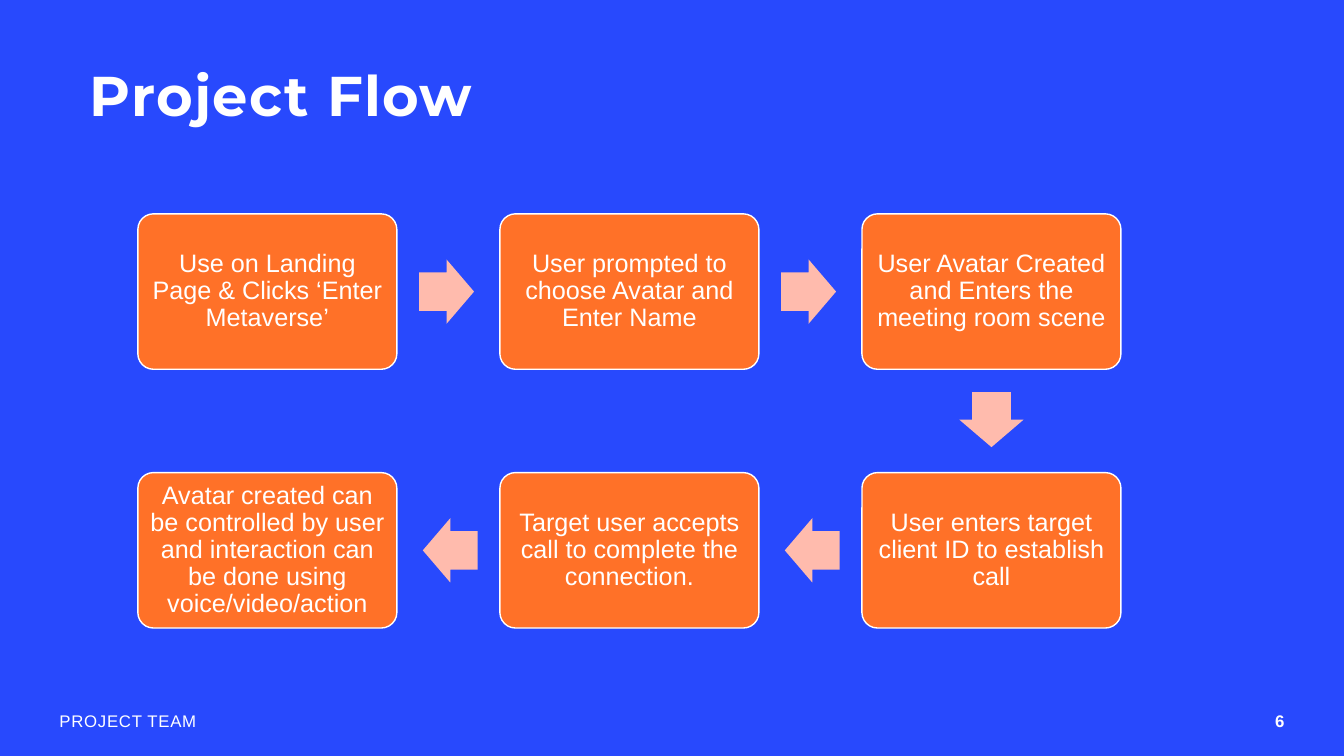
from pptx import Presentation
from pptx.dml.color import RGBColor
from pptx.enum import shapes, text
from pptx.util import Pt

COLORS = {"blue": "2849FD", "orange": "FF7128", "peach": "FFBBAD", "white": "FFFFFF"}


def write(box, words, size=18, font="Arial", bold=False, align="LEFT",
          anchor="MIDDLE", inset=0, line_spacing=1.0, tracking=0):
    """Fill a box with one formatted paragraph; tracking is in points."""
    frame = box.text_frame
    frame.word_wrap = True
    frame.vertical_anchor = text.MSO_ANCHOR[anchor]
    frame.margin_left = frame.margin_right = Pt(inset)
    frame.margin_top = frame.margin_bottom = Pt(inset)
    para = frame.paragraphs[0]
    para.alignment = text.PP_ALIGN[align]
    para.line_spacing = line_spacing
    span = para.add_run()
    span.text = words
    span.font.size = Pt(size)
    span.font.name = font
    span.font.bold = bold
    span.font.color.rgb = RGBColor.from_string(COLORS["white"])
    if tracking:
        span._r.get_or_add_rPr().set("spc", str(int(tracking * 100)))


def add_filled(kind, left, top, width, height, color, adjustments):
    shape = page.shapes.add_shape(kind, Pt(left), Pt(top), Pt(width), Pt(height))
    shape.shadow.inherit = False
    shape.fill.solid()
    shape.fill.fore_color.rgb = RGBColor.from_string(COLORS[color])
    shape.line.fill.background()
    for index, value in enumerate(adjustments):
        shape.adjustments[index] = value
    return shape


deck = Presentation()
deck.slide_width, deck.slide_height = Pt(960), Pt(540)
page = deck.slides.add_slide(deck.slide_layouts[6])
page.background.fill.solid()
page.background.fill.fore_color.rgb = RGBColor.from_string(COLORS["blue"])

# Title and footer
title = page.shapes.add_textbox(Pt(64), Pt(49), Pt(723), Pt(56))
write(title, "Project Flow", size=40, font="Montserrat", bold=True,
      anchor="TOP", line_spacing=0.9, tracking=1)
team = page.shapes.add_textbox(Pt(42.5), Pt(500.5), Pt(347), Pt(29))
write(team, "PROJECT TEAM", size=12, tracking=0.5)
number = page.shapes.add_textbox(Pt(701.5), Pt(500.5), Pt(216), Pt(29))
write(number, "6", size=12, bold=True, align="RIGHT", tracking=0.5)

# Steps run right along the first row, then back along the second
LEFT, TOP = 98.5, 152.8
COLUMN_STEP, ROW_STEP = 258.6, 184.8
BOX_WIDTH, BOX_HEIGHT = 185, 111
ARROW_WIDTH, ARROW_HEIGHT = 39.2, 45.9
ARROW_POSITION = 0.495  # share of the way from one box centre to the next

steps = [
    (0, 0, "Use on Landing Page & Clicks ‘Enter Metaverse’"),
    (1, 0, "User prompted to choose Avatar and Enter Name"),
    (2, 0, "User Avatar Created and Enters the meeting room scene"),
    (2, 1, "User enters target client ID to establish call"),
    (1, 1, "Target user accepts call to complete the connection."),
    (0, 1, "Avatar created can be controlled by user and interaction "
           "can be done using voice/video/action"),
]
rotations = {(1, 0): 0, (0, 1): 90, (-1, 0): 180}

for index, (column, row, words) in enumerate(steps):
    left = LEFT + column * COLUMN_STEP
    top = TOP + row * ROW_STEP
    box = add_filled(shapes.MSO_SHAPE.ROUNDED_RECTANGLE, left, top,
                     BOX_WIDTH, BOX_HEIGHT, "orange", [0.1])
    box.line.color.rgb = RGBColor.from_string(COLORS["white"])
    box.line.width = Pt(1)
    write(box, words, align="CENTER", inset=5, line_spacing=0.9)

    if index + 1 < len(steps):
        next_column, next_row, _ = steps[index + 1]
        across, down = next_column - column, next_row - row
        center_x = left + BOX_WIDTH / 2 + across * COLUMN_STEP * ARROW_POSITION
        center_y = top + BOX_HEIGHT / 2 + down * ROW_STEP * ARROW_POSITION
        arrow = add_filled(shapes.MSO_SHAPE.RIGHT_ARROW,
                           center_x - ARROW_WIDTH / 2, center_y - ARROW_HEIGHT / 2,
                           ARROW_WIDTH, ARROW_HEIGHT, "peach", [0.6, 0.5])
        arrow.rotation = rotations[across, down]

deck.save("out.pptx")
